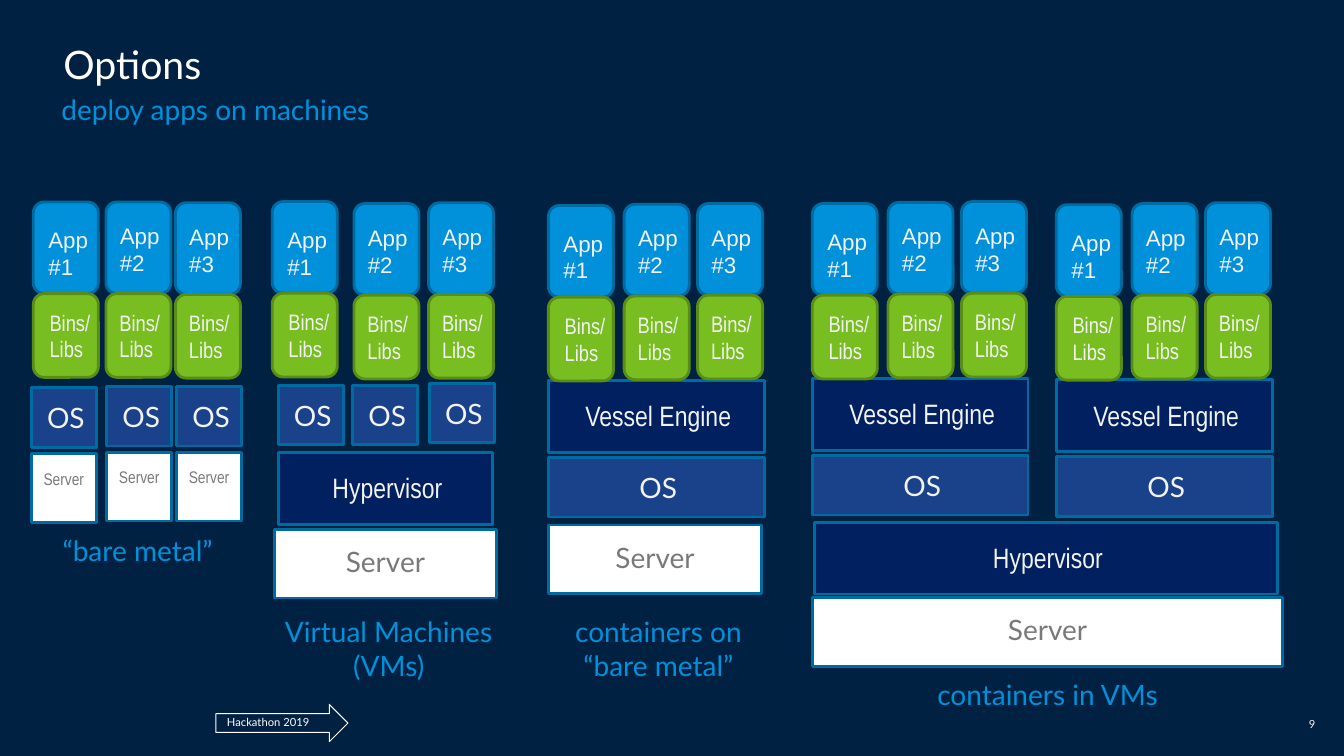
from dataclasses import dataclass

import pptx
import pptx.dml.color
import pptx.enum.shapes
import pptx.enum.text
import pptx.presentation
import pptx.shapes.autoshape
import pptx.slide
import pptx.text.text
import pptx.util

Cm = pptx.util.Cm
RGBColor = pptx.dml.color.RGBColor
Shape = pptx.enum.shapes.MSO_SHAPE
Align = pptx.enum.text.PP_ALIGN
Anchor = pptx.enum.text.MSO_ANCHOR

NIGHT = RGBColor(0x00, 0x21, 0x42)
NAVY = RGBColor(0x00, 0x20, 0x60)
BLUE = RGBColor(0x1A, 0x42, 0x8A)
SKY = RGBColor(0x00, 0x91, 0xDA)
GREEN = RGBColor(0x78, 0xBE, 0x20)
BLUE_EDGE = RGBColor(0x00, 0x6B, 0xA1)
GREEN_EDGE = RGBColor(0x59, 0x8D, 0x18)
WHITE = RGBColor(0xFF, 0xFF, 0xFF)
PALE = RGBColor(0xF2, 0xF2, 0xF2)
GREY = RGBColor(0x79, 0x79, 0x79)


@dataclass(frozen=True)
class TextStyle:
    font: str
    size: float
    color: RGBColor
    align: Align = Align.LEFT
    anchor: Anchor = Anchor.TOP
    line_spacing: float = 1.0


@dataclass(frozen=True)
class Layer:
    """One kind of block; lengths are in centimetres."""
    height: float
    fill: RGBColor
    text: TextStyle
    pad_left: float = 0
    pad_top: float = 0
    edge: RGBColor = BLUE_EDGE
    preset: Shape = Shape.RECTANGLE
    edge_width: float = 2


@dataclass(frozen=True)
class Column:
    """Left and top of an app with its libraries."""
    left: float
    top: float


@dataclass(frozen=True)
class Block:
    layer: Layer
    text: str
    left: float
    top: float
    width: float


@dataclass(frozen=True)
class Caption:
    lines: tuple[str, ...]
    left: float
    top: float
    width: float
    height: float
    style: TextStyle


TITLE = TextStyle("Lato", 28, WHITE, anchor=Anchor.BOTTOM, line_spacing=0.9)
SUBTITLE = TextStyle("Lato", 20, SKY)
CAPTION = TextStyle("Lato", 20, SKY, Align.CENTER)
PAGE_NUMBER = TextStyle("Lato", 8, PALE, Align.RIGHT, Anchor.MIDDLE, 0.9)
EVENT_TEXT = TextStyle("Lato", 8, WHITE, anchor=Anchor.MIDDLE, line_spacing=0.9)
APP_TEXT = TextStyle("Arial", 16, PALE)
LIBRARY_TEXT = TextStyle("Arial Narrow", 16, PALE)
OS_TEXT = TextStyle("Lato", 20, PALE, Align.CENTER)
ENGINE_TEXT = TextStyle("Arial Narrow", 20, PALE, Align.CENTER)
SERVER_TEXT = TextStyle("Lato", 20, GREY, Align.CENTER)
SMALL_SERVER_TEXT = TextStyle("Arial Narrow", 12, GREY, Align.CENTER)

ROUNDED = Shape.ROUNDED_RECTANGLE
FIRST_APP = Layer(2.31, SKY, APP_TEXT, 0.3, 0.53, preset=ROUNDED)
NEXT_APP = Layer(2.31, SKY, APP_TEXT, 0.27, 0.43, preset=ROUNDED)
FIRST_LIBRARY = Layer(2.11, GREEN, LIBRARY_TEXT, 0.33, 0.3, GREEN_EDGE, ROUNDED)
NEXT_LIBRARY = Layer(2.11, GREEN, LIBRARY_TEXT, 0.26, 0.3, GREEN_EDGE, ROUNDED)
SYSTEM = Layer(1.5, BLUE, OS_TEXT, 0.1, 0.32)
ENGINE = Layer(1.81, NAVY, ENGINE_TEXT, 0.1, 0.46)
SERVER = Layer(1.73, WHITE, SERVER_TEXT, 0, 0.38)
SMALL_SERVER = Layer(1.73, WHITE, SMALL_SERVER_TEXT, 0, 0.37)
EVENT = Layer(0.94, NIGHT, EVENT_TEXT, 0.28, 0, WHITE, Shape.RIGHT_ARROW, 0.75)

UNIT_WIDTH = 1.64
STACK_WIDTH = 5.44
BARE_METAL_COLUMNS = (Column(0.84, 5.09), Column(2.67, 5.09), Column(4.42, 5.11))
BARE_METAL_SYSTEMS = (Column(0.79, 9.77), Column(2.69, 9.74), Column(4.45, 9.74))
VM_COLUMNS = (Column(6.86, 5.08), Column(8.92, 5.13), Column(10.8, 5.11))
VM_SYSTEMS = (Column(7.01, 9.71), Column(8.89, 9.71), Column(10.82, 9.66))
CONTAINER_STACKS = (Column(13.82, 5.18), Column(20.47, 5.13), Column(26.62, 5.16))
CONTAINER_OFFSETS = (Column(0, 0), Column(1.91, -0.03), Column(3.76, -0.05))

SHARED_BLOCKS = (
    Block(ENGINE, "Hypervisor", 7.01, 11.4, 5.41),
    Block(SERVER, "Server", 6.91, 13.34, 5.61),
    Block(SERVER, "Server", 13.82, 13.23, 5.38),
    Block(ENGINE, "Hypervisor", 20.52, 13.16, 11.68),
    Block(SERVER, "Server", 20.47, 15.06, 11.86),
    Block(EVENT, "Hackathon 2019", 5.44, 17.75, 3.33),
)
CAPTIONS = (
    Caption(("deploy apps on machines",), 1.55, 2.34, 30.53, 0.69, SUBTITLE),
    Caption(("“bare metal”",), 0.84, 13.44, 5.26, 1.63, CAPTION),
    Caption(("Virtual Machines", "(VMs)"), 6.99, 15.49, 5.61, 1.63, CAPTION),
    Caption(("containers on “bare metal”",), 13.79, 15.49, 5.61, 1.63, CAPTION),
    Caption(("containers in VMs",), 20.47, 17.07, 11.86, 1.63, CAPTION),
    Caption(("9",), 31.93, 17.75, 1.22, 1.02, PAGE_NUMBER),
)


def write_text(frame: pptx.text.text.TextFrame, lines: tuple[str, ...],
               style: TextStyle, pad_left: float = 0, pad_top: float = 0) -> None:
    frame_format = {
        "word_wrap": True, "auto_size": pptx.enum.text.MSO_AUTO_SIZE.NONE,
        "vertical_anchor": style.anchor, "margin_left": Cm(pad_left),
        "margin_top": Cm(pad_top), "margin_right": 0, "margin_bottom": 0,
    }
    for name, value in frame_format.items():
        setattr(frame, name, value)
    for index, line in enumerate(lines):
        para = frame.add_paragraph() if index else frame.paragraphs[0]
        para_format = {"alignment": style.align, "line_spacing": style.line_spacing,
                       "space_before": pptx.util.Pt(0)}
        for name, value in para_format.items():
            setattr(para, name, value)
        span = para.add_run()
        span.text = line
        for name, value in {"name": style.font, "size": pptx.util.Pt(style.size)}.items():
            setattr(span.font, name, value)
        span.font.color.rgb = style.color


def draw_block(page: pptx.slide.Slide, block: Block) -> None:
    layer = block.layer
    box = page.shapes.add_shape(layer.preset, Cm(block.left), Cm(block.top),
                                Cm(block.width), Cm(layer.height))
    box.shadow.inherit = False
    box.fill.solid()
    box.fill.fore_color.rgb = layer.fill
    box.line.color.rgb = layer.edge
    box.line.width = pptx.util.Pt(layer.edge_width)
    write_text(box.text_frame, (block.text,), layer.text, layer.pad_left, layer.pad_top)


def draw_caption(page: pptx.slide.Slide, caption: Caption) -> None:
    box = page.shapes.add_textbox(Cm(caption.left), Cm(caption.top),
                                  Cm(caption.width), Cm(caption.height))
    write_text(box.text_frame, caption.lines, caption.style)


def draw_apps(page: pptx.slide.Slide, columns: tuple[Column, ...]) -> None:
    """Draw numbered apps, each standing on its libraries."""
    for number, column in enumerate(columns, start=1):
        app = FIRST_APP if number == 1 else NEXT_APP
        library = FIRST_LIBRARY if number == 1 else NEXT_LIBRARY
        draw_block(page, Block(app, f"App #{number}", column.left, column.top, UNIT_WIDTH))
        draw_block(page, Block(library, "Bins/Libs", column.left,
                               column.top + app.height, UNIT_WIDTH))


def draw_container_stack(page: pptx.slide.Slide, stack: Column) -> None:
    draw_block(page, Block(SYSTEM, "OS", stack.left, stack.top + 6.35, STACK_WIDTH))
    draw_block(page, Block(ENGINE, "Vessel Engine", stack.left, stack.top + 4.41, STACK_WIDTH))
    draw_apps(page, tuple(Column(stack.left + offset.left, stack.top + offset.top)
                          for offset in CONTAINER_OFFSETS))


def draw_title(page: pptx.slide.Slide) -> None:
    title = page.shapes.title
    place = {"left": Cm(1.6), "top": Cm(1.14), "width": Cm(30.56), "height": Cm(1.07)}
    for name, value in place.items():
        setattr(title, name, value)
    write_text(title.text_frame, ("Options",), TITLE)


def main() -> None:
    deck = pptx.Presentation()
    deck.slide_width, deck.slide_height = Cm(33.87), Cm(19.05)
    page = deck.slides.add_slide(deck.slide_layouts.get_by_name("Title Only"))
    page.background.fill.solid()
    page.background.fill.fore_color.rgb = NIGHT
    draw_title(page)
    for system in BARE_METAL_SYSTEMS:
        draw_block(page, Block(SMALL_SERVER, "Server", system.left, system.top + 1.66, UNIT_WIDTH))
    for block in SHARED_BLOCKS:
        draw_block(page, block)
    for system in BARE_METAL_SYSTEMS + VM_SYSTEMS:
        draw_block(page, Block(SYSTEM, "OS", system.left, system.top, UNIT_WIDTH))
    for columns in (BARE_METAL_COLUMNS, VM_COLUMNS):
        draw_apps(page, columns)
    for stack in CONTAINER_STACKS:
        draw_container_stack(page, stack)
    for caption in CAPTIONS:
        draw_caption(page, caption)
    deck.save("out.pptx")


if __name__ == "__main__":
    main()
